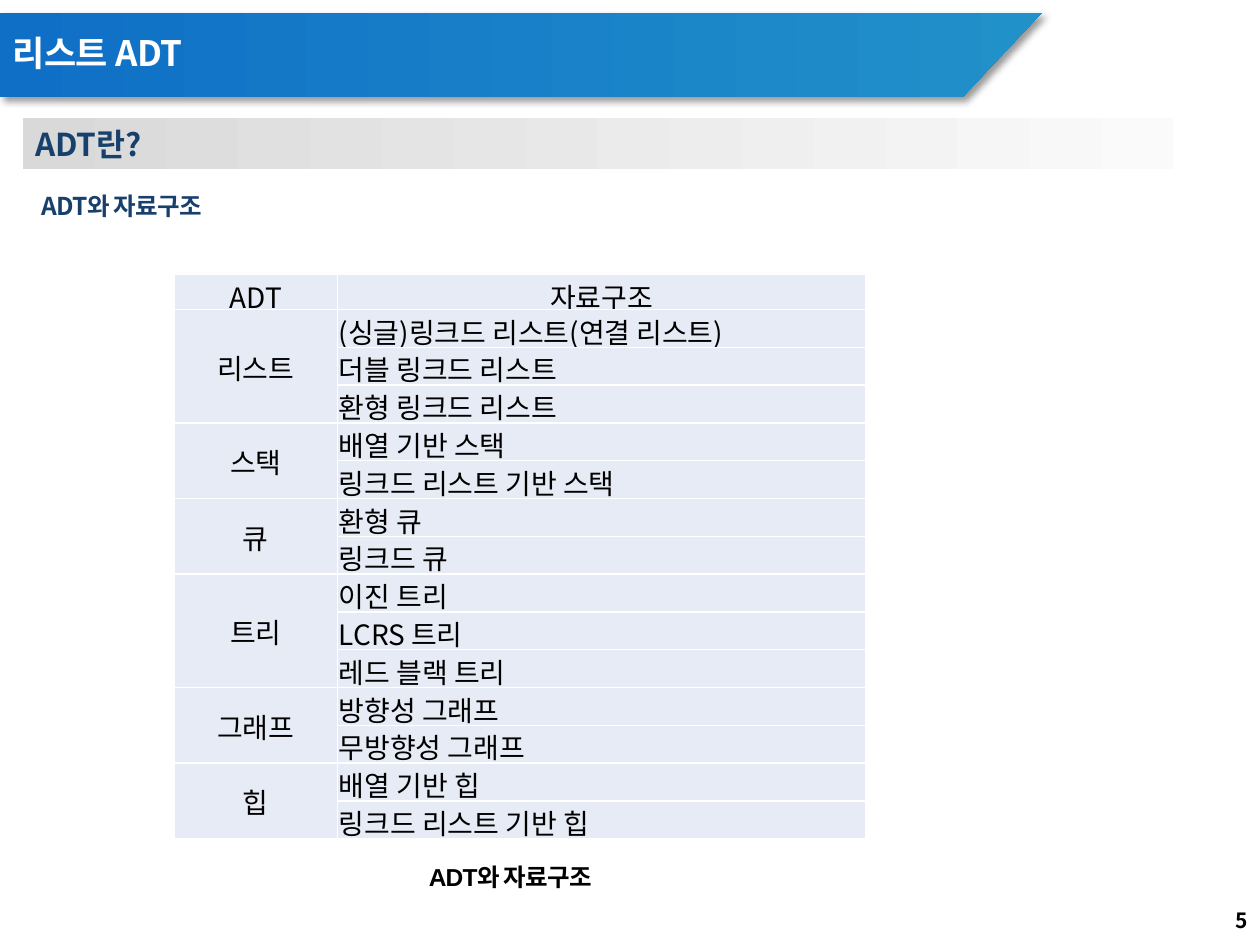
from dataclasses import dataclass

from lxml import etree
from pptx import Presentation
from pptx.dml.color import RGBColor
from pptx.enum.shapes import MSO_SHAPE
from pptx.enum.text import MSO_ANCHOR, MSO_AUTO_SIZE, PP_ALIGN
from pptx.oxml.ns import qn
from pptx.util import Inches, Pt

LEFT, CENTER, RIGHT = PP_ALIGN.LEFT, PP_ALIGN.CENTER, PP_ALIGN.RIGHT
TOP, MIDDLE = MSO_ANCHOR.TOP, MSO_ANCHOR.MIDDLE
GROW, FIXED = MSO_AUTO_SIZE.SHAPE_TO_FIT_TEXT, MSO_AUTO_SIZE.NONE

KOREAN_FONT = "Noto Sans CJK KR"
BLACK = RGBColor(0x00, 0x00, 0x00)
WHITE = RGBColor(0xFF, 0xFF, 0xFF)
NAVY = RGBColor(0x17, 0x40, 0x6D)
BANNER_BLUE = RGBColor(0x0F, 0x6F, 0xC6)
BANNER_CYAN = RGBColor(0x21, 0x91, 0xC9)
BAR_GRAY = RGBColor(0xD9, 0xD9, 0xD9)
BAR_LIGHT = RGBColor(0xFA, 0xFA, 0xFA)
CELL_FILL = RGBColor(0xE7, 0xEB, 0xF5)


@dataclass(frozen=True)
class TextStyle:
    size: float
    color: RGBColor = BLACK
    bold: bool = True
    font: str = KOREAN_FONT
    align: PP_ALIGN = LEFT
    line_spacing: float = 1.0
    tracking: float = 0


@dataclass(frozen=True)
class Label:
    text: str
    left: float
    top: float
    width: float
    height: float
    style: TextStyle
    anchor: MSO_ANCHOR = TOP
    auto_size: MSO_AUTO_SIZE = GROW


@dataclass(frozen=True)
class AdtGroup:
    name: str
    structures: tuple[str, ...]


TITLE = Label("리스트 ADT", 0, 0.2, 6.69, 0.47,
              TextStyle(20, WHITE, line_spacing=0.9, tracking=-0.4), MIDDLE, FIXED)
SECTION = Label("ADT란?", 0.18, 0.94, 9.13, 0.4, TextStyle(18, NAVY))
LABELS = (
    Label("5", 7.75, 7.1, 2.25, 0.4, TextStyle(12, align=RIGHT), MIDDLE, FIXED),
    Label("ADT와 자료구조", 0.23, 1.35, 9.45, 0.41,
          TextStyle(14, NAVY, line_spacing=1.5, tracking=-0.5)),
    Label("ADT와 자료구조", 0.91, 6.79, 6.28, 0.34,
          TextStyle(14, font="Arial", align=CENTER, tracking=-0.5)),
)
GROUPS = (
    AdtGroup("리스트", ("(싱글)링크드 리스트(연결 리스트)", "더블 링크드 리스트", "환형 링크드 리스트")),
    AdtGroup("스택", ("배열 기반 스택", "링크드 리스트 기반 스택")),
    AdtGroup("큐", ("환형 큐", "링크드 큐")),
    AdtGroup("트리", ("이진 트리", "LCRS 트리", "레드 블랙 트리")),
    AdtGroup("그래프", ("방향성 그래프", "무방향성 그래프")),
    AdtGroup("힙", ("배열 기반 힙", "링크드 리스트 기반 힙")),
)
NAME_STYLE = TextStyle(16, bold=False, align=CENTER)
STRUCTURE_STYLE = TextStyle(16, bold=False)


def write_text(frame, text: str, style: TextStyle) -> None:
    frame.text = text
    para = frame.paragraphs[0]
    para.alignment = style.align
    para.line_spacing = style.line_spacing
    font = para.font
    font.size, font.bold, font.name = Pt(style.size), style.bold, style.font
    font.color.rgb = style.color
    properties = para._p.pPr.find(qn("a:defRPr"))
    etree.SubElement(properties, qn("a:ea"), typeface=KOREAN_FONT)
    if style.tracking:
        properties.set("spc", str(round(style.tracking * 100)))


def fill_label(shape, label: Label) -> None:
    frame = shape.text_frame
    frame.word_wrap = True
    frame.auto_size = label.auto_size
    frame.vertical_anchor = label.anchor
    write_text(frame, label.text, label.style)


def bounds(label: Label) -> tuple:
    return tuple(Inches(value) for value in (label.left, label.top, label.width, label.height))


def paint_gradient(shape, start: RGBColor, end: RGBColor) -> None:
    shape.fill.gradient()
    shape.fill.gradient_angle = 0
    for stop, color in zip(shape.fill.gradient_stops, (start, end)):
        stop.color.rgb = color
    shape.line.fill.background()
    shape.shadow.inherit = False


def add_banner(slide):
    builder = slide.shapes.build_freeform(Inches(0), Inches(0.1))
    corners = ((8.27, 0.1), (7.64, 0.77), (0, 0.77))
    builder.add_line_segments([(Inches(x), Inches(y)) for x, y in corners], close=True)
    banner = builder.convert_to_shape()
    paint_gradient(banner, BANNER_BLUE, BANNER_CYAN)
    effects = banner._element.spPr.find(qn("a:effectLst"))
    shadow = etree.SubElement(effects, qn("a:outerShdw"), blurRad=str(Pt(4)),
                              dist=str(Pt(3)), dir=str(45 * 60000), rotWithShape="0")
    color = etree.SubElement(shadow, qn("a:srgbClr"), val=str(BLACK))
    etree.SubElement(color, qn("a:alpha"), val="40000")
    return banner


def add_title(slide) -> None:
    title = slide.shapes.title
    title.left, title.top, title.width, title.height = bounds(TITLE)
    fill_label(title, TITLE)
    title._element.addprevious(add_banner(slide)._element)


def add_section_bar(slide) -> None:
    bar = slide.shapes.add_shape(MSO_SHAPE.RECTANGLE, *bounds(SECTION))
    paint_gradient(bar, BAR_GRAY, BAR_LIGHT)
    fill_label(bar, SECTION)


def format_cell(cell) -> None:
    cell.fill.solid()
    cell.fill.fore_color.rgb = CELL_FILL
    cell.vertical_anchor = MIDDLE
    cell.margin_left = cell.margin_right = cell.margin_top = Inches(0.01)
    cell.margin_bottom = 0
    properties = cell._tc.get_or_add_tcPr()
    for index, side in enumerate(("lnL", "lnR", "lnT", "lnB")):
        border = etree.Element(qn(f"a:{side}"), w=str(Pt(1)))
        fill = etree.SubElement(border, qn("a:solidFill"))
        etree.SubElement(fill, qn("a:srgbClr"), val=str(WHITE))
        properties.insert(index, border)


def add_adt_table(slide) -> None:
    row_count = 1 + sum(len(group.structures) for group in GROUPS)
    height = Inches(4.54)
    holder = slide.shapes.add_table(row_count, 2, Inches(1.38), Inches(2.18), Inches(5.49), height)
    table = holder.table
    table.first_row = table.horz_banding = False
    table.columns[0].width, table.columns[1].width = Inches(1.3), Inches(4.19)
    for index, row in enumerate(table.rows):
        row.height = Inches(0.3 if index else 0.11)
    holder.height = height
    for cell in table.iter_cells():
        format_cell(cell)

    for column, heading in enumerate(("ADT", "자료구조")):
        write_text(table.cell(0, column).text_frame, heading, NAME_STYLE)
    first = 1
    for group in GROUPS:
        last = first + len(group.structures) - 1
        name_cell = table.cell(first, 0)
        name_cell.merge(table.cell(last, 0))
        write_text(name_cell.text_frame, group.name, NAME_STYLE)
        for row, structure in enumerate(group.structures, first):
            write_text(table.cell(row, 1).text_frame, structure, STRUCTURE_STYLE)
        first = last + 1


def main() -> None:
    deck = Presentation()
    deck.slide_width, deck.slide_height = Inches(10), Inches(7.5)
    slide = deck.slides.add_slide(deck.slide_layouts[5])
    add_title(slide)
    add_section_bar(slide)
    for label in LABELS:
        fill_label(slide.shapes.add_textbox(*bounds(label)), label)
    add_adt_table(slide)
    deck.save("out.pptx")


if __name__ == "__main__":
    main()
